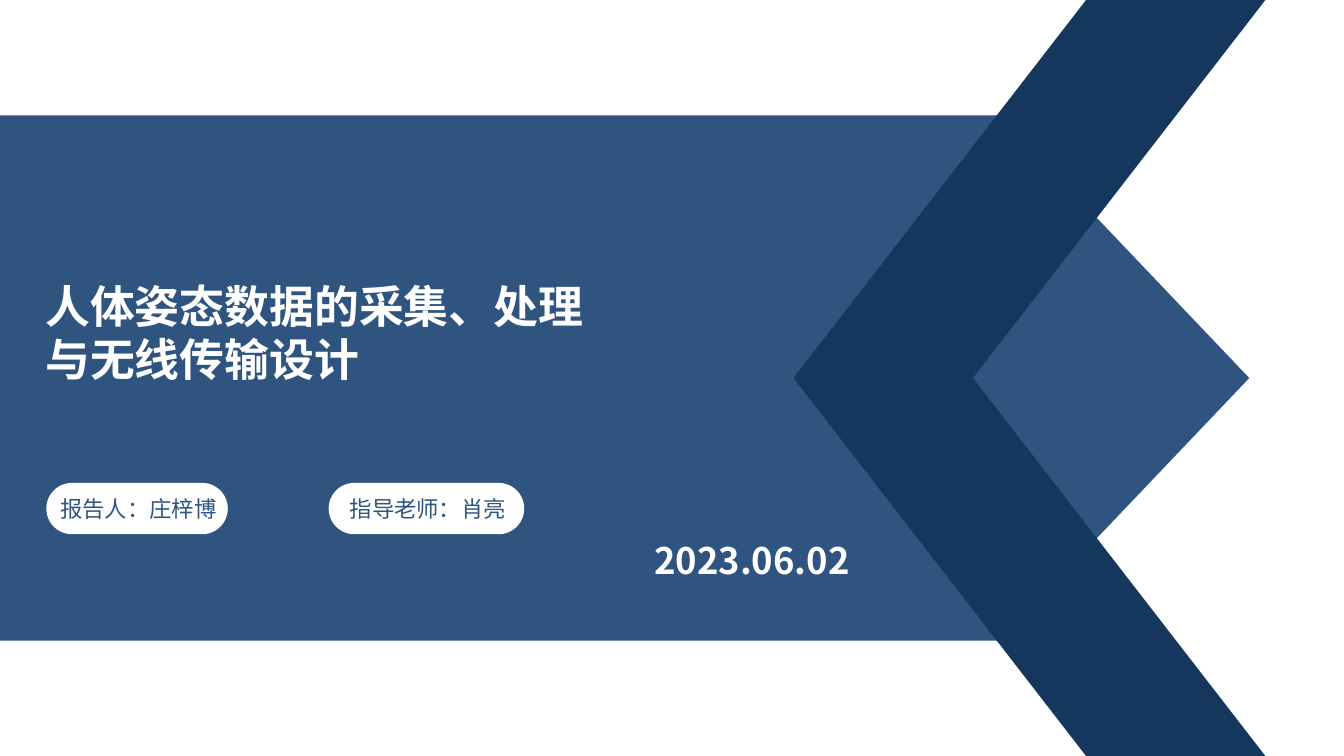
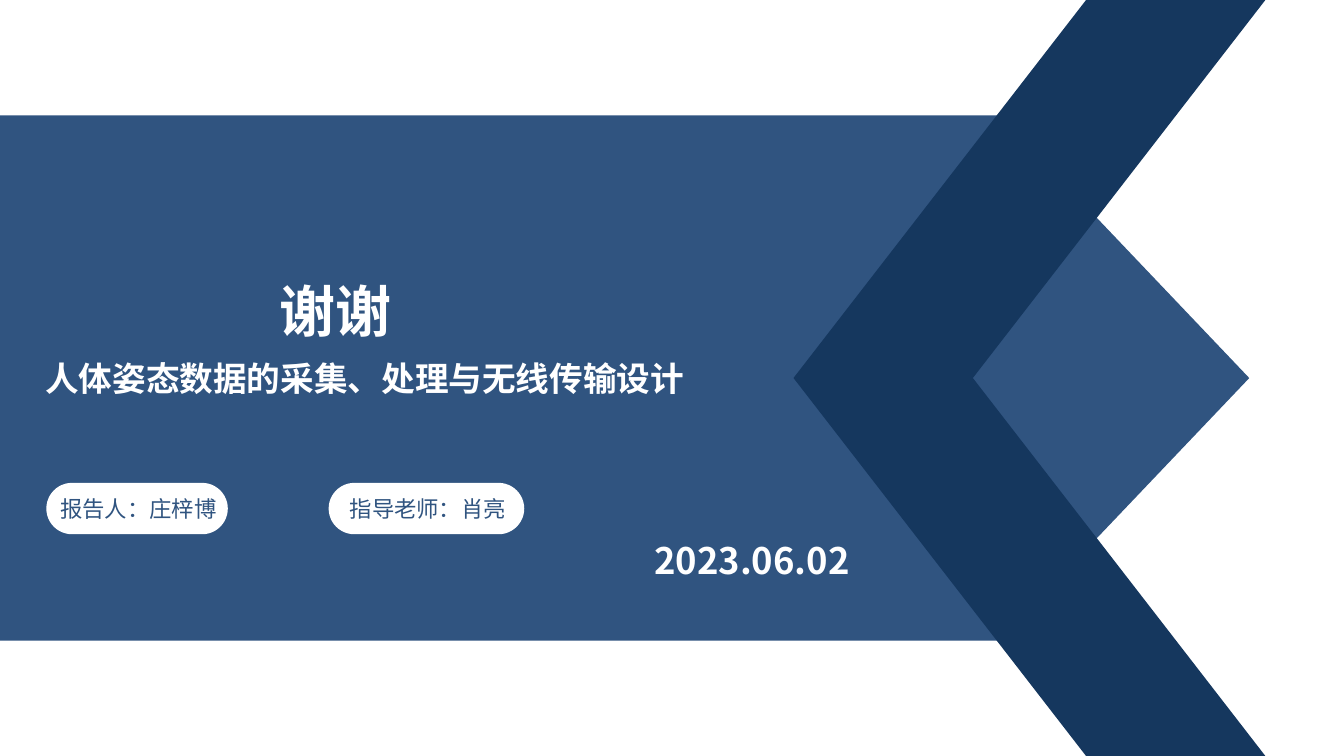
import dataclasses

import lxml.etree
import pptx
import pptx.dml.color
import pptx.enum.shapes
import pptx.enum.text
import pptx.oxml.ns
import pptx.util

Inches = pptx.util.Inches
SHAPE = pptx.enum.shapes.MSO_SHAPE
ALIGN = pptx.enum.text.PP_ALIGN
ANCHOR = pptx.enum.text.MSO_ANCHOR


@dataclasses.dataclass(frozen=True)
class Theme:
    """Colours, font and type sizes of the deck."""
    blue: str = "305480"
    navy: str = "15375E"
    white: str = "FFFFFF"
    font: str = "Noto Sans CJK SC"
    thanks: int = 40
    title: int = 32
    date: int = 26
    subtitle: int = 24
    label: int = 16


THEME = Theme()
TOPIC = "人体姿态数据的采集、处理与无线传输设计"


def add_filled(slide, kind, box, color, rotation=0):
    """Add a preset shape with a plain fill, no line and no shadow."""
    s = slide.shapes.add_shape(kind, *map(Inches, box))
    s.shadow.inherit = False
    s.fill.solid()
    s.fill.fore_color.rgb = pptx.dml.color.RGBColor.from_string(color)
    s.line.fill.background()
    s.rotation = rotation
    return s


def write(s, text, size, color=THEME.white, bold=True, align=ALIGN.LEFT,
          anchor=ANCHOR.TOP, wrap=True, insets=(0.07, 0.04, 0.07, 0.04)):
    """Write one formatted paragraph into a shape or text box."""
    tf = s.text_frame
    tf.word_wrap = wrap
    tf.vertical_anchor = anchor
    tf.margin_left, tf.margin_top, tf.margin_right, tf.margin_bottom = map(Inches, insets)
    p = tf.paragraphs[0]
    p.alignment = align
    r = p.add_run()
    r.text = text
    r.font.size = pptx.util.Pt(size)
    r.font.bold = bold
    r.font.color.rgb = pptx.dml.color.RGBColor.from_string(color)
    r.font.name = THEME.font
    ea = lxml.etree.SubElement(r._r.get_or_add_rPr(), pptx.oxml.ns.qn("a:ea"))
    ea.set("typeface", THEME.font)


def add_text(slide, box, text, size, **style):
    """Add a text box with one formatted paragraph."""
    write(slide.shapes.add_textbox(*map(Inches, box)), text, size, **style)


def add_backdrop(slide, width, height):
    """Draw the pointed band and the chevron, centred on the slide height."""
    band_length, band_depth = 12.39, 5.21
    left = (band_length - band_depth) / 2
    top = (height - band_length) / 2
    add_filled(slide, SHAPE.FLOWCHART_OFFPAGE_CONNECTOR,
               (left, top, band_depth, band_length), THEME.blue, rotation=270)
    chevron_width, right_gap = 4.68, 0.78
    chevron = add_filled(slide, SHAPE.CHEVRON,
                         (width - right_gap - chevron_width, 0, chevron_width, height),
                         THEME.navy, rotation=180)
    chevron.adjustments[0] = 0.62


def add_pill(slide, box, text):
    """Add a white rounded label."""
    s = add_filled(slide, SHAPE.ROUNDED_RECTANGLE, box, THEME.white)
    s.adjustments[0] = 0.5
    write(s, text, THEME.label, color=THEME.blue, bold=False, align=ALIGN.CENTER,
          anchor=ANCHOR.MIDDLE, wrap=False, insets=(0.03, 0, 0, 0))


def add_credits(slide, left, top):
    """Add the speaker, the supervisor and the date."""
    for offset, width, text in ((0, 1.8, "报告人：庄梓博"), (2.8, 1.94, "指导老师：肖亮")):
        add_pill(slide, (left + offset, top, width, 0.51), text)
    add_text(slide, (left + 5.93, top + 0.5, 2.41, 0.54), "2023.06.02", THEME.date,
             insets=(0.1, 0.05, 0.1, 0.05))


def add_slide(prs, texts):
    """Add a slide with the shared design and its own headings."""
    slide = prs.slides.add_slide(prs.slide_layouts[6])
    add_backdrop(slide, prs.slide_width.inches, prs.slide_height.inches)
    for box, text, size in texts:
        add_text(slide, box, text, size)
    add_credits(slide, 0.46, 4.79)


def main():
    """Build the opening and closing slides."""
    prs = pptx.Presentation()
    prs.slide_width, prs.slide_height = Inches(13.33), Inches(7.5)
    add_slide(prs, [((0.38, 2.72, 5.9, 1.15), TOPIC, THEME.title)])
    add_slide(prs, [((0.38, 3.51, 6.76, 0.48), TOPIC, THEME.subtitle),
                    ((2.7, 2.7, 1.36, 0.75), "谢谢", THEME.thanks)])
    prs.save("out.pptx")


if __name__ == "__main__":
    main()
